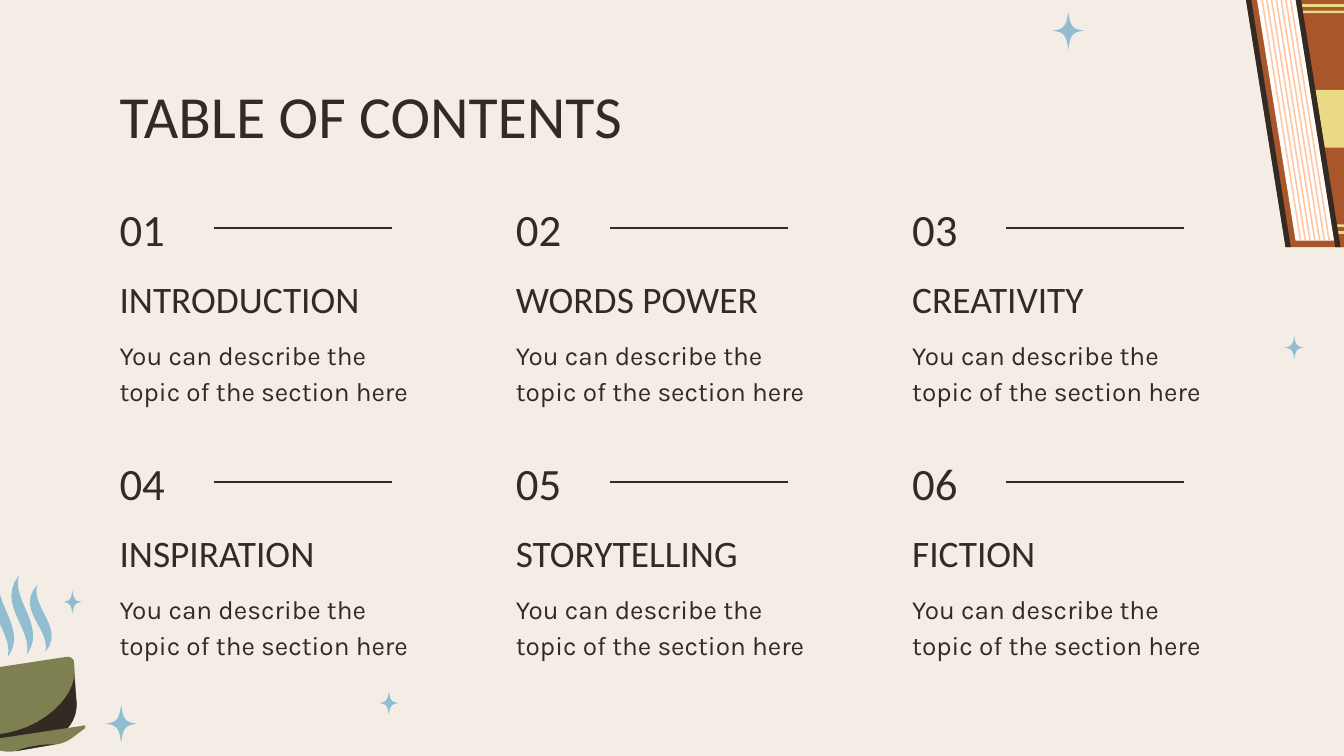
import lxml.etree
import pptx
import pptx.dml.color
import pptx.enum.shapes
import pptx.enum.text
import pptx.oxml.ns
import pptx.util

Cm = pptx.util.Cm
Pt = pptx.util.Pt
RGBColor = pptx.dml.color.RGBColor
ANCHOR = pptx.enum.text.MSO_ANCHOR

CREAM = RGBColor(0xF3, 0xED, 0xE6)
INK = RGBColor(0x32, 0x2A, 0x23)
SKY = RGBColor(0x91, 0xBD, 0xD1)
OLIVE = RGBColor(0x7E, 0x80, 0x51)
RUST = RGBColor(0xA9, 0x57, 0x2A)
YELLOW = RGBColor(0xEA, 0xDA, 0x85)
PEACH = RGBColor(0xFF, 0xC6, 0xA0)
WHITE = RGBColor(0xFF, 0xFF, 0xFF)

deck = pptx.Presentation()
deck.slide_width, deck.slide_height = Cm(25.4), Cm(14.29)
slide = deck.slides.add_slide(deck.slide_layouts[6])
slide.background.fill.solid()
slide.background.fill.fore_color.rgb = CREAM


def draw(color, start, *steps):
    points = [start]
    for step in steps:
        if len(step) == 2:
            points.append(step)
            continue
        x0, y0 = points[-1]
        x1, y1, x2, y2, x3, y3 = step
        for i in range(1, 13):
            t = i / 12
            u = 1 - t
            a, b, c, d = u ** 3, 3 * u * u * t, 3 * u * t * t, t ** 3
            points.append((a * x0 + b * x1 + c * x2 + d * x3,
                           a * y0 + b * y1 + c * y2 + d * y3))
    points = [(x * 1000, y * 1000) for x, y in points]
    builder = slide.shapes.build_freeform(*points[0], scale=Cm(0.001))
    builder.add_line_segments(points[1:], close=True)
    outline = builder.convert_to_shape()
    outline.shadow.inherit = False
    outline.fill.solid()
    outline.fill.fore_color.rgb = color
    outline.line.fill.background()


def write(text, left, top, width, height, style):
    box = slide.shapes.add_textbox(Cm(left), Cm(top), Cm(width), Cm(height))
    margins = {f"margin_{side}": Cm(0.25) for side in ("left", "right", "top", "bottom")}
    frame_format = {"word_wrap": True, "vertical_anchor": style["anchor"], **margins}
    for key, value in frame_format.items():
        setattr(box.text_frame, key, value)
    paragraph = box.text_frame.paragraphs[0]
    paragraph.line_spacing = style["spacing"]
    run = paragraph.add_run()
    run.text = text
    for key, value in style["font"].items():
        setattr(run.font, key, value)
    run.font.color.rgb = INK


BIG, SMALL = (0.3, 0.36), (0.19, 0.22)
for x, y, (w, h) in [(20.19, 0.58, BIG), (24.46, 6.57, SMALL), (2.29, 13.68, BIG),
                     (1.37, 11.38, SMALL), (7.35, 13.29, SMALL)]:
    near_x, far_x, near_y, far_y = 0.12 * w, 0.25 * w, 0.07 * h, 0.25 * h
    draw(SKY, (x + w, y),
         (x + far_x, y + near_y, x + near_x, y + far_y, x, y + h),
         (x - near_x, y + far_y, x - far_x, y + near_y, x - w, y),
         (x - far_x, y - near_y, x - near_x, y - far_y, x, y - h),
         (x + near_x, y - far_y, x + far_x, y - near_y, x + w, y))

draw(OLIVE, (0.41, 14.05), (0.91, 13.97), (1.22, 13.92, 1.45, 13.64, 1.45, 13.31),
     (1.4, 12.52), (1.4, 12.45, 1.32, 12.4, 1.24, 12.42), (-0.41, 12.67),
     (-0.48, 12.7, -0.53, 12.78, -0.51, 12.85), (-0.3, 13.59),
     (-0.23, 13.92, 0.08, 14.1, 0.41, 14.05))
draw(INK, (1.4, 12.75), (1.45, 13.31), (1.45, 13.64, 1.22, 13.92, 0.91, 13.97),
     (0.41, 14.05), (0.2, 14.1, 0, 14.02, -0.13, 13.89),
     (0.86, 13.82, 1.42, 13.11, 1.4, 12.75))
draw(OLIVE, (0.28, 14.2), (1.07, 14.07), (1.19, 14.05, 1.3, 14, 1.4, 13.92),
     (1.6, 13.77), (1.63, 13.74, 1.6, 13.69, 1.55, 13.72), (-0.3, 14),
     (-0.33, 14.02, -0.36, 14.07, -0.3, 14.1), (-0.08, 14.17),
     (0.05, 14.2, 0.15, 14.22, 0.28, 14.2))
draw(INK, (0.66, 14.1), (0.81, 14.07, 0.94, 14.07, 1.04, 14.07), (0.3, 14.2),
     (0.41, 14.15, 0.53, 14.12, 0.66, 14.1))
for x, y, h in [(0.71, 11.05, 1.27), (0.36, 10.87, 1.5), (0, 10.92, 1.5)]:
    draw(SKY, (x, y),
         (x - 0.43, y + 0.37 * h, x + 0.25, y + 0.66 * h, x + 0.15, y + h),
         (x + 0.53, y + 0.65 * h, x - 0.15, y + 0.32 * h, x, y))

SLANT = 0.16
BOOK_TOP, BOOK_HEIGHT = -0.18, 4.85
slabs = [(RUST, 23.52, BOOK_TOP, 2.44, BOOK_HEIGHT),
         (WHITE, 23.75, -0.05, 0.74, 4.6),
         (RUST, 24.46, BOOK_TOP, 2.52, BOOK_HEIGHT)]
for top, height in [(1.7, 1.09), (0.08, 0.05), (0.2, 0.05), (4.24, 0.05), (4.37, 0.05)]:
    slabs.append((YELLOW, 24.56 + SLANT * (top - BOOK_TOP), top, 2.5, height))
for left in (24.46, 23.52):
    slabs.append((INK, left, BOOK_TOP, 0.1, BOOK_HEIGHT))
for page in range(7):
    slabs.append((PEACH, 23.83 + 0.09 * page, -0.05, 0.03, 4.6))
for color, left, top, width, height in slabs:
    shift = SLANT * height
    draw(color, (left, top), (left + width, top),
         (left + width + shift, top + height), (left + shift, top + height))

TITLE = {"anchor": ANCHOR.TOP, "spacing": 1.0, "font": {"name": "Calibri", "size": Pt(32)}}
NUMBER = {"anchor": ANCHOR.MIDDLE, "spacing": 1.0, "font": {"name": "Calibri", "size": Pt(24)}}
HEADING = {"anchor": ANCHOR.BOTTOM, "spacing": 1.15, "font": {"name": "Calibri", "size": Pt(20)}}
SUMMARY = {"anchor": ANCHOR.TOP, "spacing": 1.15, "font": {"name": "Karla", "size": Pt(14)}}

write("TABLE OF CONTENTS", 2.01, 1.24, 21.41, 1.8, TITLE)
sections = ["INTRODUCTION", "WORDS POWER", "CREATIVITY",
            "INSPIRATION", "STORYTELLING", "FICTION"]
for index, section in enumerate(sections):
    row, column = divmod(index, 3)
    left, top = 2.01 + 7.49 * column, 3.71 + 4.8 * row
    write(f"{index + 1:02d}", left, top, 2.03, 1.24, NUMBER)
    write(section, left, top + 1.24, 6.4, 1.37, HEADING)
    write("You can describe the topic of the section here",
          left, top + 2.36, 6.4, 1.8, SUMMARY)
    rule = slide.shapes.add_connector(
        pptx.enum.shapes.MSO_CONNECTOR.STRAIGHT,
        Cm(left + 2.03), Cm(top + 0.6), Cm(left + 5.39), Cm(top + 0.6))
    rule.line.color.rgb = INK
    rule.line.width = Pt(0.75)
    lxml.etree.SubElement(rule._element.spPr, pptx.oxml.ns.qn("a:effectLst"))

deck.save("out.pptx")
